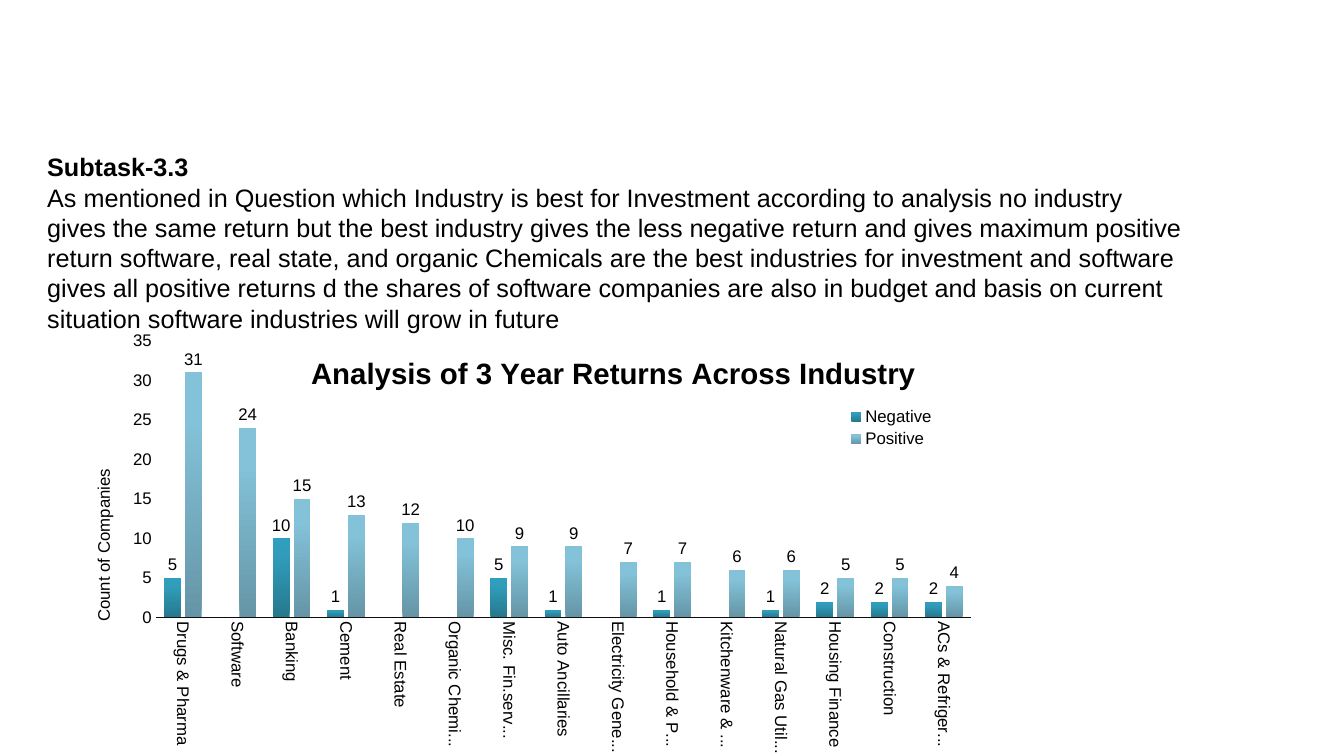
from copy import deepcopy

from lxml import etree
from pptx import Presentation
from pptx.chart.data import CategoryChartData
from pptx.dml.color import RGBColor
from pptx.enum import chart as kinds
from pptx.oxml.ns import qn
from pptx.util import Cm, Pt

FONT = "Arial"
BLACK = RGBColor(0x00, 0x00, 0x00)
AXIS_LINE = RGBColor(0x0D, 0x0D, 0x0D)
# Bar gradients from foot to top: (position, colour)
NEGATIVE_STOPS = [(0, RGBColor(0x25, 0x79, 0x8F)), (0.8, RGBColor(0x31, 0x9D, 0xBA)),
                  (1, RGBColor(0x2E, 0x9F, 0xBE))]
POSITIVE_STOPS = [(0, RGBColor(0x65, 0x95, 0xA6)), (0.8, RGBColor(0x83, 0xC2, 0xD8)),
                  (1, RGBColor(0x82, 0xC4, 0xDB))]

HEADING = "Subtask-3.3"
FINDING = (
    "As mentioned in Question which Industry is best for Investment according to "
    "analysis no industry gives the same return but the best industry gives the less "
    "negative return and gives maximum positive return software, real state, and "
    "organic Chemicals are the best industries for investment and software gives all "
    "positive returns d the shares of software companies are also in budget and basis "
    "on current situation software industries will grow in future"
)

# Industry, companies with negative returns, companies with positive returns
RETURNS = [
    ("Drugs & Pharma", 5, 31),
    ("Software", None, 24),
    ("Banking", 10, 15),
    ("Cement", 1, 13),
    ("Real Estate", None, 12),
    ("Organic Chemicals", None, 10),
    ("Misc. Fin.services", 5, 9),
    ("Auto Ancillaries", 1, 9),
    ("Electricity Generation", None, 7),
    ("Household & Personal Products", 1, 7),
    ("Kitchenware & Appliances", None, 6),
    ("Natural Gas Utilities", 1, 6),
    ("Housing Finance", 2, 5),
    ("Construction", 2, 5),
    ("ACs & Refrigerators", 2, 4),
]


def style_font(font, size, bold=False):
    font.name = FONT
    font.size = Pt(size)
    font.bold = bold
    font.color.rgb = BLACK


def add_finding(page):
    box = page.shapes.add_textbox(Cm(0.94), Cm(3.7), Cm(29.18), Cm(4.8))
    frame = box.text_frame
    frame.word_wrap = True
    frame.text = f"{HEADING}\n{FINDING}"
    for para, bold in zip(frame.paragraphs, (True, False)):
        style_font(para.font, 18, bold)


def place(element, index, **fractions):
    """Give a chart part a manual layout in fractions of the chart."""
    for old in element.findall(qn("c:layout")):
        element.remove(old)
    layout = etree.Element(qn("c:layout"))
    manual = etree.SubElement(layout, qn("c:manualLayout"))
    if "plotArea" in element.tag:
        etree.SubElement(manual, qn("c:layoutTarget"), val="inner")
    for side in ("x", "y"):
        etree.SubElement(manual, qn(f"c:{side}Mode"), val="edge")
    for name, value in fractions.items():
        etree.SubElement(manual, qn(f"c:{name}"), val=str(value))
    element.insert(index, layout)


def set_title(title, wording, size, bold, x, y):
    title.text_frame.text = wording
    style_font(title.text_frame.paragraphs[0].font, size, bold)
    place(title._element, 1, x=x, y=y)


def style_series(series, stops):
    fill = series.format.fill
    fill.gradient()
    fill.gradient_angle = 90
    stop_list = series._element.find(".//" + qn("a:gsLst"))
    stop_list.append(deepcopy(stop_list[-1]))
    for stop, (position, colour) in zip(fill.gradient_stops, stops):
        stop.position = position
        stop.color.rgb = colour
    series.invert_if_negative = False
    labels = series.data_labels
    labels.show_value = True
    labels.position = kinds.XL_LABEL_POSITION.OUTSIDE_END
    style_font(labels.font, 12)


def style_axis(axis):
    axis.has_major_gridlines = False
    axis.major_tick_mark = axis.minor_tick_mark = kinds.XL_TICK_MARK.NONE
    style_font(axis.tick_labels.font, 12)


def add_returns_chart(page):
    data = CategoryChartData()
    industries, negative, positive = zip(*RETURNS)
    data.categories = industries
    data.add_series("Negative", negative)
    data.add_series("Positive", positive)
    chart = page.shapes.add_chart(
        kinds.XL_CHART_TYPE.COLUMN_CLUSTERED,
        Cm(1.8), Cm(7.8), Cm(23.62), Cm(11.25), data).chart
    style_font(chart.font, 10)

    # Bars
    plot = chart.plots[0]
    plot.gap_width = 100
    plot.overlap = -24
    plot.vary_by_categories = False
    for series, stops in zip(plot.series, (NEGATIVE_STOPS, POSITIVE_STOPS)):
        style_series(series, stops)
    place(chart._chartSpace.find(".//" + qn("c:plotArea")), 0,
          x=0.09, y=0.07, w=0.87, h=0.62)

    # Axes
    industry_axis, count_axis = chart.category_axis, chart.value_axis
    for axis in (industry_axis, count_axis):
        style_axis(axis)
    industry_axis.format.line.color.rgb = AXIS_LINE
    industry_axis.format.line.width = Pt(1)
    industry_axis._element.find(".//" + qn("a:bodyPr")).set("rot", "5400000")
    count_axis.format.line.fill.background()
    count_axis.minimum_scale, count_axis.maximum_scale = 0, 35
    count_axis.major_unit = 5

    # Titles and legend
    set_title(count_axis.axis_title, "Count of Companies", 12, False, 0.02, 0.35)
    axis_body = count_axis.axis_title._element.find(".//" + qn("a:bodyPr"))
    axis_body.set("rot", "-5400000")
    axis_body.set("vert", "horz")
    set_title(chart.chart_title, "Analysis of 3 Year Returns Across Industry",
              21, True, 0.25, 0.09)
    chart.has_legend = True
    chart.legend.position = kinds.XL_LEGEND_POSITION.TOP
    chart.legend.include_in_layout = False
    style_font(chart.legend.font, 12)
    place(chart.legend._element, 1, x=0.82, y=0.21, w=0.11, h=0.11)


def main():
    deck = Presentation()
    deck.slide_width, deck.slide_height = Cm(33.87), Cm(19.05)
    page = deck.slides.add_slide(deck.slide_layouts.get_by_name("Blank"))
    add_finding(page)
    add_returns_chart(page)
    deck.save("out.pptx")


if __name__ == "__main__":
    main()
